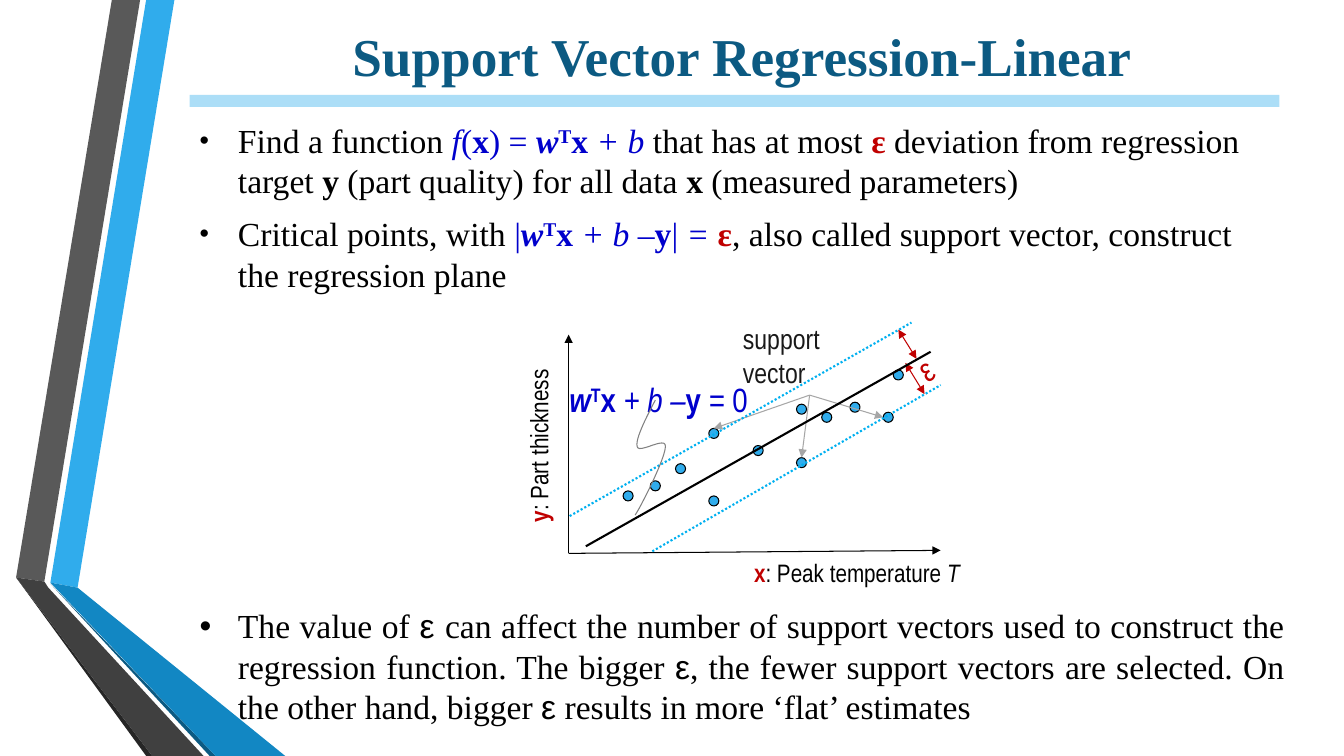
"""Build the slide on linear support vector regression."""
from dataclasses import dataclass, replace
from typing import Optional

import lxml.etree
import pptx
import pptx.dml.color
import pptx.enum.dml
import pptx.enum.shapes
import pptx.enum.text
import pptx.oxml.ns
from pptx.util import Inches

COLORS = {
    "title": "0C5A82", "rule": "ACDEF7", "sky": "30ACEC", "blue": "1287C3",
    "gray": "595959", "dark": "404040", "shade": "262626", "black": "000000",
    "formula": "0000CC", "red": "C00000", "arrow": "A6A6A6", "curve": "808080",
    "label": "191919", "tube": "00B0F0",
}
SERIF, NARROW, SANS = "Times New Roman", "Arial Narrow", "Arial"
DOT_SIZE = 0.1


@dataclass(frozen=True)
class Run:
    text: str
    color: str = "black"
    bold: bool = False
    italic: bool = False
    raised: bool = False
    font: Optional[str] = None


@dataclass(frozen=True)
class Label:
    box: tuple
    size: float
    runs: tuple
    rotation: float = 0
    wrap: bool = True


@dataclass(frozen=True)
class Line:
    start: tuple
    end: tuple
    color: str
    width: float = 0.75
    dotted: bool = False
    head: bool = False
    tail: bool = False


@dataclass(frozen=True)
class Bullets:
    box: tuple
    paragraphs: tuple
    level: int
    margin: float
    space_before: float
    bullet_percent: int
    alignment: pptx.enum.text.PP_ALIGN
    anchor: pptx.enum.text.MSO_ANCHOR


def blue(text: str, bold: bool = False, italic: bool = False, raised: bool = False) -> Run:
    return Run(text, "formula", bold, italic, raised)


WEIGHTED_INPUT = (blue("w", True, True), blue("T", True, raised=True), blue("x ", True))
EPSILON = Run("ε", font=SANS)

RIBBONS = (
    ("sky", ((0.5, 5.78), (0.77, 5.83), (1.73, 0), (1.45, 0))),
    ("gray", ((1.39, 0), (1.11, 0), (0.16, 5.73), (0.44, 5.77))),
    ("shade", ((0.16, 5.73), (1.45, 7.5), (1.51, 7.5))),
    ("title", ((0.5, 5.79), (2.08, 7.5), (2.14, 7.5))),
    ("blue", ((0.5, 5.78), (2.14, 7.5), (2.83, 7.5), (0.77, 5.83))),
    ("dark", ((2.02, 7.5), (0.48, 5.83), (0.44, 5.77), (0.16, 5.73), (1.51, 7.5))),
)
DOTS = (
    (6.45, 4.77), (6.18, 4.87), (6.7, 4.6), (7.03, 4.92), (7.03, 4.25), (7.47, 4.42),
    (7.9, 4.54), (7.9, 4.01), (8.15, 4.09), (8.43, 3.99), (8.76, 4.09), (8.86, 3.67),
)
ORIGIN, CALLOUT = (5.64, 5.49), (8.03, 3.92)
LINES = (
    Line(ORIGIN, (9.33, 5.46), "black", tail=True),
    Line(ORIGIN, (5.64, 3.32), "black", tail=True),
    Line((8.91, 3.27), (9.09, 3.56), "red", head=True, tail=True),
    Line((8.98, 3.6), (9.17, 3.91), "red", head=True, tail=True),
    *(Line(CALLOUT, end, "arrow", tail=True)
      for end in ((7.08, 4.25), (8.76, 4.14), (7.95, 4.54))),
    Line((5.65, 5.12), (9.04, 3.2), "tube", 1.5, dotted=True),
    Line((6.47, 5.47), (9.33, 3.82), "tube", 1.5, dotted=True),
    Line((5.81, 5.42), (9.23, 3.49), "black", 1.5),
)
POINTER_CURVES = (
    ((6.5, 3.97), (6.4, 4.16), (6.3, 4.36), (6.32, 4.43)),
    ((6.32, 4.43), (6.33, 4.51), (6.61, 4.32), (6.6, 4.43)),
    ((6.6, 4.43), (6.6, 4.55), (6.35, 5.04), (6.3, 5.11)),
)
LABELS = (
    Label((5.55, 3.71, 2.17, 0.5), 24, (
        *WEIGHTED_INPUT, blue("+ b –", italic=True), blue("y", True),
        blue(" = ", italic=True), blue("0"))),
    Label((7.38, 5.48, 2.48, 0.4), 18, (
        Run("x", "red", True), Run(": Peak temperature "), Run("T", italic=True))),
    Label((9.02, 3.41, 0.32, 0.5), 24, (Run("ε", "red"),), 327.7, False),
    Label((7.27, 3.14, 1.52, 0.77), 20, (Run("support vector", "label"),)),
    Label((4.17, 3.91, 2.34, 0.4), 18, (Run("y", "red", True), Run(": Part thickness")), 270),
)
DEFINITION = Bullets((1.57, 1.14, 10.96, 1.84), (
    (Run("Find a function "), blue("f", italic=True), blue("("), blue("x", True), blue(") = "),
     *WEIGHTED_INPUT, blue("+ b ", italic=True), Run("that has at most ", italic=False),
     Run("ε ", "red", True), Run("deviation from regression target "), Run("y ", bold=True),
     Run("(part quality) for all data "), Run("x", bold=True), Run(" (measured parameters)")),
    (Run("Critical points, with "), blue("|"), *WEIGHTED_INPUT, blue("+ b –", italic=True),
     blue("y", True), blue("|"), blue(" = ", italic=True), Run("ε", "red", True),
     Run(", also called support vector, construct the regression plane")),
), 1, 0.69, 9, 80, pptx.enum.text.PP_ALIGN.LEFT, pptx.enum.text.MSO_ANCHOR.TOP)
EFFECT = Bullets((1.88, 5.95, 10.96, 1.31), (
    (Run("The value of "), replace(EPSILON, text="ε "),
     Run("can affect the number of support vectors used to construct the regression function."
         " The bigger "), EPSILON,
     Run(", the fewer support vectors are selected. On the other hand, bigger "), EPSILON,
     Run(" results in more ‘flat’ estimates")),
), 0, 0.38, 0, 100, pptx.enum.text.PP_ALIGN.JUSTIFY, pptx.enum.text.MSO_ANCHOR.MIDDLE)


def rgb(name: str) -> pptx.dml.color.RGBColor:
    return pptx.dml.color.RGBColor.from_string(COLORS[name])


def add_element(parent, tag: str, **attributes: str) -> None:
    lxml.etree.SubElement(parent, pptx.oxml.ns.qn(tag), attributes)


def place(shape, box: tuple) -> None:
    shape.left, shape.top, shape.width, shape.height = map(Inches, box)


def add_runs(paragraph, runs: tuple, size: float, font: str) -> None:
    for item in runs:
        run = paragraph.add_run()
        run.text = item.text
        run.font.name, run.font.size = item.font or font, pptx.util.Pt(size)
        run.font.bold, run.font.italic = item.bold, item.italic
        run.font.color.rgb = rgb(item.color)
        if item.raised:
            run.font._element.set("baseline", "30000")


def style_shape(shape, fill: Optional[str], line: Optional[str] = None) -> None:
    shape.shadow.inherit = False
    if fill:
        shape.fill.solid()
        shape.fill.fore_color.rgb = rgb(fill)
    else:
        shape.fill.background()
    if line:
        shape.line.color.rgb, shape.line.width = rgb(line), pptx.util.Pt(0.75)
    else:
        shape.line.fill.background()


def add_outline(slide, points: tuple, closed: bool):
    vertices = [(Inches(x), Inches(y)) for x, y in points]
    builder = slide.shapes.build_freeform(*vertices[0])
    builder.add_line_segments(vertices[1:], close=closed)
    return builder.convert_to_shape()


def curve_points(curves: tuple, steps: int = 12) -> tuple:
    weights = [((1 - t) ** 3, 3 * t * (1 - t) ** 2, 3 * t * t * (1 - t), t ** 3)
               for t in (step / steps for step in range(steps + 1))]
    return tuple(tuple(sum(w * point[axis] for w, point in zip(weight, curve)) for axis in (0, 1))
                 for curve in curves for weight in weights)


def add_line(slide, line: Line) -> None:
    connector = slide.shapes.add_connector(
        pptx.enum.shapes.MSO_CONNECTOR.STRAIGHT, *map(Inches, line.start + line.end))
    connector.line.color.rgb, connector.line.width = rgb(line.color), pptx.util.Pt(line.width)
    if line.dotted:
        connector.line.dash_style = pptx.enum.dml.MSO_LINE.ROUND_DOT
    properties = connector.element.spPr
    outline = properties.find(pptx.oxml.ns.qn("a:ln"))
    for tag, shown in (("a:headEnd", line.head), ("a:tailEnd", line.tail)):
        if shown:
            add_element(outline, tag, type="triangle")
    add_element(properties, "a:effectLst")


def add_label(slide, label: Label) -> None:
    shape = slide.shapes.add_textbox(*map(Inches, label.box))
    shape.rotation = label.rotation
    shape.text_frame.word_wrap = label.wrap
    shape.text_frame.auto_size = pptx.enum.text.MSO_AUTO_SIZE.SHAPE_TO_FIT_TEXT
    add_runs(shape.text_frame.paragraphs[0], label.runs, label.size, NARROW)


def fill_bullets(placeholder, bullets: Bullets) -> None:
    place(placeholder, bullets.box)
    frame = placeholder.text_frame
    frame.auto_size = pptx.enum.text.MSO_AUTO_SIZE.NONE
    frame.vertical_anchor = bullets.anchor
    for index, runs in enumerate(bullets.paragraphs):
        paragraph = frame.add_paragraph() if index else frame.paragraphs[0]
        paragraph.level, paragraph.alignment = bullets.level, bullets.alignment
        paragraph.space_before = pptx.util.Pt(bullets.space_before)
        properties = paragraph._p.get_or_add_pPr()
        properties.set("marL", str(Inches(bullets.margin)))
        properties.set("indent", str(Inches(-0.38)))
        add_element(properties, "a:buSzPct", val=str(bullets.bullet_percent * 1000))
        add_element(properties, "a:buFont", typeface=SANS)
        add_element(properties, "a:buChar", char="•")
        add_runs(paragraph, runs, 24, SERIF)


def main() -> None:
    presentation = pptx.Presentation()
    presentation.slide_width, presentation.slide_height = Inches(13.33), Inches(7.5)
    slide = presentation.slides.add_slide(presentation.slide_layouts[3])
    title, definition, effect = slide.placeholders
    for color, points in RIBBONS:
        style_shape(add_outline(slide, points, True), color)
    shape_types = pptx.enum.shapes.MSO_SHAPE
    rule = slide.shapes.add_shape(shape_types.RECTANGLE, *map(Inches, (1.88, 0.94, 10.81, 0.12)))
    style_shape(rule, "rule")
    for placeholder in (title, definition, effect):
        slide.shapes.element.append(placeholder.element)
    place(title, (1.88, 0.21, 10.96, 0.68))
    title.text_frame.auto_size = pptx.enum.text.MSO_AUTO_SIZE.NONE
    title.text_frame.vertical_anchor = pptx.enum.text.MSO_ANCHOR.MIDDLE
    title.text_frame.paragraphs[0].alignment = pptx.enum.text.PP_ALIGN.CENTER
    heading = (Run("Support Vector Regression-Linear", "title", True),)
    add_runs(title.text_frame.paragraphs[0], heading, 38, SERIF)
    fill_bullets(definition, DEFINITION)
    fill_bullets(effect, EFFECT)
    for label in LABELS:
        add_label(slide, label)
    for left, top in DOTS:
        dot = slide.shapes.add_shape(
            shape_types.OVAL, *map(Inches, (left, top, DOT_SIZE, DOT_SIZE)))
        style_shape(dot, "sky", "black")
    for line in LINES:
        add_line(slide, line)
    style_shape(add_outline(slide, curve_points(POINTER_CURVES), False), None, "curve")
    presentation.save("out.pptx")


if __name__ == "__main__":
    main()
